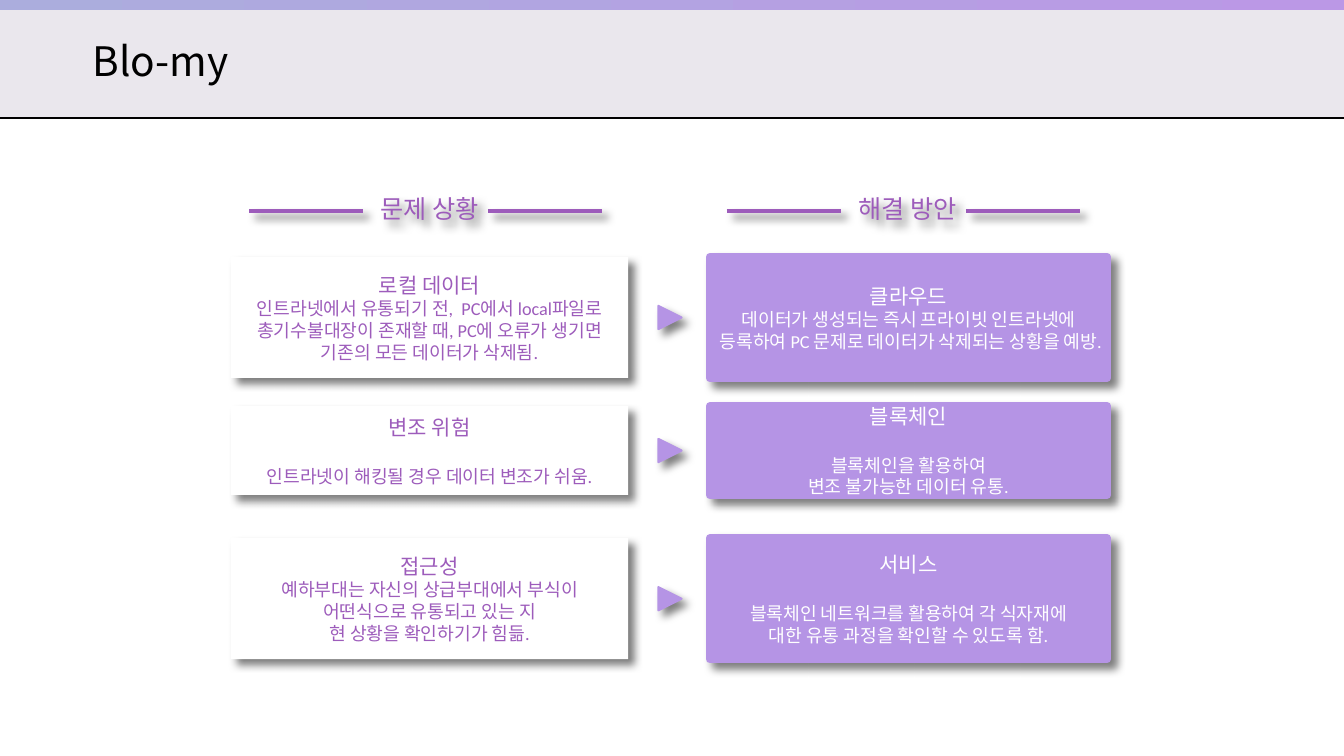
from lxml import etree
from pptx import Presentation
from pptx.dml.color import RGBColor
from pptx.enum.shapes import MSO_CONNECTOR, MSO_SHAPE
from pptx.enum.text import MSO_ANCHOR, MSO_AUTO_SIZE, PP_ALIGN
from pptx.oxml import parse_xml
from pptx.oxml.ns import nsdecls, qn
from pptx.util import Inches, Pt

RECT, CARD, ARROW = MSO_SHAPE.RECTANGLE, MSO_SHAPE.ROUNDED_RECTANGLE, MSO_SHAPE.ISOSCELES_TRIANGLE
LINE = MSO_CONNECTOR.STRAIGHT
MIDDLE, NO_FIT = MSO_ANCHOR.MIDDLE, MSO_AUTO_SIZE.NONE
LEFT, CENTER = PP_ALIGN.LEFT, PP_ALIGN.CENTER
PURPLE, LILAC, WHITE, BLACK, GREY = "9D5CBB", "B594E5", "FFFFFF", "000000", "EAE7ED"
NOTO = "Noto Sans CJK KR"
CELL = Inches(0.1)
WIDE, HIGH = 133.3, 75
SHADOW = (
    f'<a:effectLst {nsdecls("a")}><a:outerShdw blurRad="76200" dist="76200" dir="2700000" '
    'algn="tl" rotWithShape="0"><a:srgbClr val="000000"><a:alpha val="50000"/>'
    '</a:srgbClr></a:outerShdw></a:effectLst>'
)


def grid(*cells):
    return [round(n * CELL) for n in cells]


def paint(fill, color):
    fill.solid()
    fill.fore_color.rgb = RGBColor.from_string(color)


deck = Presentation()
deck.slide_width, deck.slide_height = grid(WIDE, HIGH)
slide = deck.slides.add_slide(deck.slide_layouts[5])
shapes = slide.shapes
raised, texts = [], []

band = shapes.add_shape(RECT, *grid(0, 0, WIDE, 11.7))
paint(band.fill, GREY)
paint(band.line.fill, GREY)
band.line.width = Pt(1.5)
band.shadow.inherit = False

rule = shapes.add_connector(LINE, *grid(0, 11.7, WIDE, 11.7))
paint(rule.line.fill, BLACK)
rule.line.width = Pt(1)
etree.SubElement(rule.element.spPr, qn("a:effectLst"))

strip = shapes.add_shape(RECT, *grid(0, 0, WIDE, 1))
strip.fill.gradient()
strip.fill.gradient_angle = 0
for stop, tone, place in zip(strip.fill.gradient_stops, ("ABADDD", "BB98E6"), (0, 1)):
    stop.color.rgb = RGBColor.from_string(tone)
    stop.position = place
strip.line.fill.background()
strip.shadow.inherit = False

title = shapes.title
shapes.element.append(title.element)
title.left, title.top, title.width, title.height = grid(8.2, 3.1, 45.8, 5.8)
texts.append((title, LEFT, BLACK, [("Blo-my", 29, NOTO, 0)]))

for col in range(4):
    x = 24.7 + 23.7 * col
    dash = shapes.add_connector(LINE, *grid(x, 20.9, x + 11.3, 20.9))
    paint(dash.line.fill, PURPLE)
    dash.line.width = Pt(3)
    raised.append(dash)

for col, head in enumerate(("문제 상황", "해결 방안")):
    label = shapes.add_textbox(*grid(29.8 + 47.4 * col, 18.7, 25.6, 4))
    texts.append((label, CENTER, PURPLE, [(head, 18, NOTO, 0)]))
    raised.append(label)

rows = [
    (25.5, 12, [
        ("로컬 데이터", 0, ["인트라넷에서 유통되기 전,  PC에서 local파일로 총기수불대장이 존재할 때, "
                       "PC에 오류가 생기면 기존의 모든 데이터가 삭제됨."]),
        ("클라우드", 0, ["데이터가 생성되는 즉시 프라이빗 인트라넷에 등록하여 PC 문제로 "
                     "데이터가 삭제되는 상황을 예방."]),
    ]),
    (40.3, 8.8, [
        ("변조 위험", 18, ["인트라넷이 해킹될 경우 데이터 변조가 쉬움."]),
        ("블록체인", 18, ["블록체인을 활용하여", "변조 불가능한 데이터 유통."]),
    ]),
    (53.4, 12, [
        ("접근성", 0, ["예하부대는 자신의 상급부대에서 부식이", "어떤식으로 유통되고 있는 지",
                    "현 상황을 확인하기가 힘듦."]),
        ("서비스", 18, ["블록체인 네트워크를 활용하여 각 식자재에",
                     "대한 유통 과정을 확인할 수 있도록 함."]),
    ]),
]

for top, tall, pair in rows:
    for col, (head, gap, body) in enumerate(pair):
        card = shapes.add_shape(CARD, *grid(22.9 + 47.5 * col, top, 39.4, tall))
        card.adjustments[0] = 0
        paint(card.fill, (WHITE, LILAC)[col])
        if col:
            paint(card.line.fill, LILAC)
            card.line.width = Pt(6)
        else:
            card.line.fill.background()
        lines = [(head, 15, "Montserrat", 0)]
        for i, words in enumerate(body):
            lines.append((words, 13, "Calibri", 0 if i else gap))
        texts.append((card, CENTER, (PURPLE, WHITE)[col], lines))
        raised.append(card)

    arrow = shapes.add_shape(ARROW, *grid(65.3, top + tall / 2 - 1.15, 2.3, 2.3))
    arrow.rotation = 90
    paint(arrow.fill, LILAC)
    paint(arrow.line.fill, LILAC)
    arrow.line.width = Pt(1.5)
    raised.append(arrow)

for shape, align, color, lines in texts:
    frame = shape.text_frame
    format = {"word_wrap": True, "auto_size": NO_FIT, "vertical_anchor": MIDDLE}
    for key, value in format.items():
        setattr(frame, key, value)
    for i, (words, size, face, gap) in enumerate(lines):
        para = frame.add_paragraph() if i else frame.paragraphs[0]
        para.alignment = align
        if gap:
            para.space_before = Pt(gap)
        run = para.add_run()
        run.text = words
        for key, value in {"size": Pt(size), "name": face}.items():
            setattr(run.font, key, value)
        paint(run.font.fill, color)
        etree.SubElement(run.font._element, qn("a:ea"), typeface=NOTO)

for shape in raised:
    shape.element.spPr.append(parse_xml(SHADOW))

deck.save("out.pptx")
